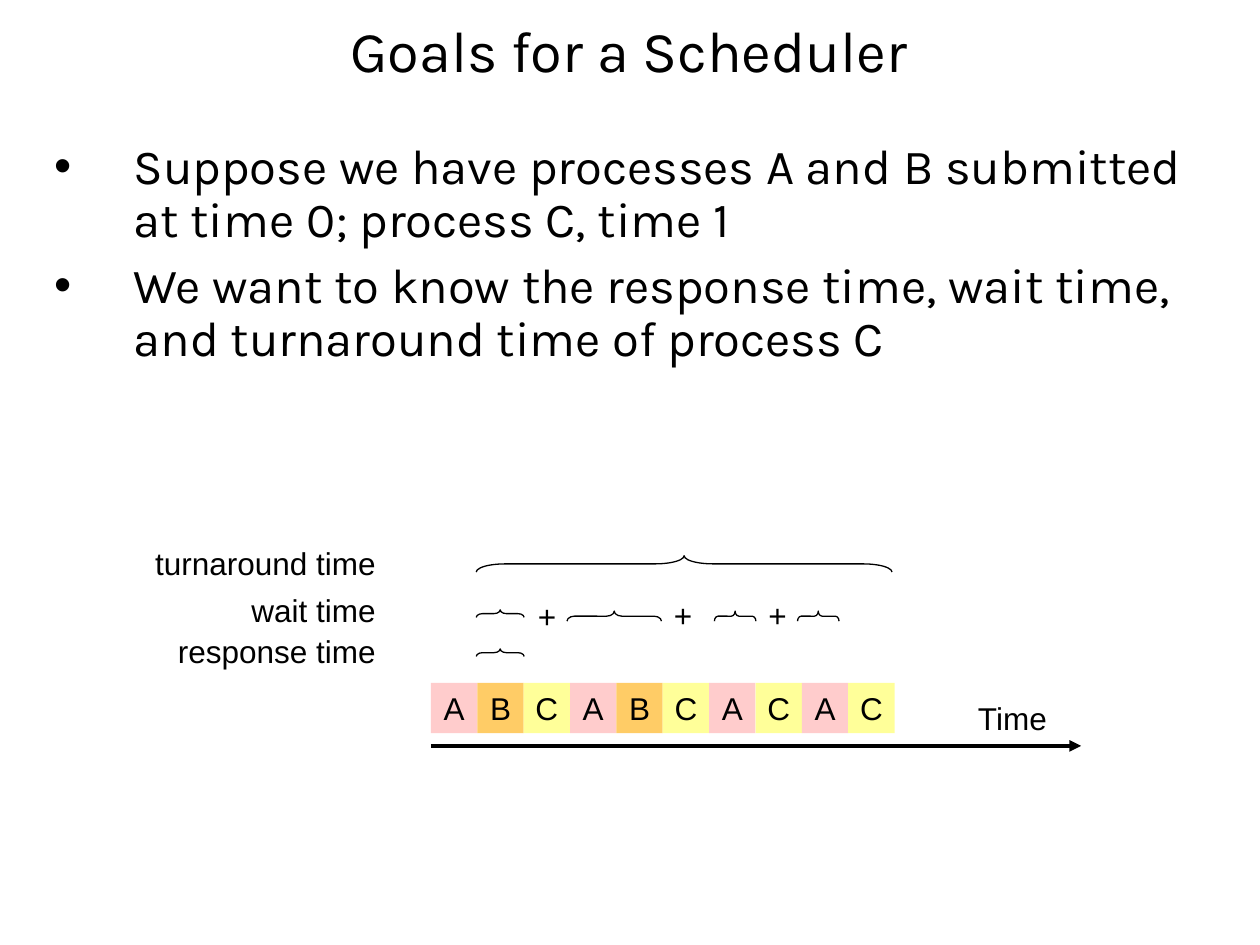
from lxml import etree
from pptx import Presentation
from pptx.dml.color import RGBColor
from pptx.enum import shapes as kinds, text as txt
from pptx.oxml.ns import qn
from pptx.util import Inches, Pt

COLORS = {"ink": "000000", "A": "FFCCCC", "B": "FFCC66", "C": "FFFF99"}
TITLE = "Goals for a Scheduler"
GOALS = [
    "Suppose we have processes A and B submitted at time 0; process C, time 1",
    "We want to know the response time, wait time, and turnaround time of process C",
]

SCHEDULE = "ABCABCACAC"
SCHEDULE_LEFT, SCHEDULE_TOP, SCHEDULE_WIDTH = 3.42, 5.42, 3.68
ROW_HEIGHT = 0.4

LABELS = [("turnaround time", 4.27), ("wait time", 4.64), ("response time", 4.97)]
LABEL_LEFT, LABEL_WIDTH = 1.13, 1.95

# left, top, length, height, corner length
BRACES = [
    (3.78, 4.41, 3.3, 0.13, 0.23),
    (3.78, 4.84, 0.38, 0.06, 0.05),
    (4.5, 4.85, 0.75, 0.08, 0.06),
    (5.67, 4.85, 0.33, 0.08, 0.03),
    (6.33, 4.85, 0.33, 0.08, 0.03),
    (3.78, 5.15, 0.38, 0.06, 0.05),
]
PLUSES = [(4.17, 4.69), (5.25, 4.68), (6, 4.68)]
PLUS_WIDTH = 0.34


def color(name):
    return RGBColor.from_string(COLORS[name])


def style(paragraph, size, font_name):
    for run in paragraph.runs:
        run.font.size = Pt(size)
        run.font.name = font_name
        run.font.color.rgb = color("ink")


def place(part, left, top, width, height):
    part.left, part.top = Inches(left), Inches(top)
    part.width, part.height = Inches(width), Inches(height)


def write(part, words, align):
    frame = part.text_frame
    frame.text = words
    frame.word_wrap = False
    frame.vertical_anchor = txt.MSO_ANCHOR.TOP
    frame.paragraphs[0].alignment = align
    style(frame.paragraphs[0], 18, "Arial")


def add_label(slide, words, left, top, width, align=txt.PP_ALIGN.CENTER):
    box = slide.shapes.add_textbox(
        Inches(left), Inches(top), Inches(width), Inches(ROW_HEIGHT))
    write(box, words, align)


def add_bullet(paragraph):
    props = paragraph._p.get_or_add_pPr()
    props.set("marL", str(Inches(0.63)))
    props.set("indent", str(-Inches(0.63)))
    etree.SubElement(props, qn("a:buChar")).set("char", "•")


def add_heading_and_goals(slide):
    title, body = slide.placeholders
    place(title, 0.33, 0, 9.33, 0.85)
    place(body, 0.33, 1.08, 9.33, 5.67)
    title.text_frame.text = TITLE
    title.text_frame.vertical_anchor = txt.MSO_ANCHOR.MIDDLE
    heading = title.text_frame.paragraphs[0]
    heading.alignment = txt.PP_ALIGN.CENTER
    heading.line_spacing = 0.9
    style(heading, 33, "Karla")

    body.text_frame.text = "\n".join(GOALS)
    for index, goal in enumerate(body.text_frame.paragraphs):
        add_bullet(goal)
        goal.line_spacing = 0.9
        goal.space_before = Pt(7.5 if index else 0)
        style(goal, 28, "Karla")
    for part in (title, body):
        part.text_frame.auto_size = txt.MSO_AUTO_SIZE.NONE


def add_schedule(slide):
    slot = SCHEDULE_WIDTH / len(SCHEDULE)
    for index, process in enumerate(SCHEDULE):
        cell = slide.shapes.add_shape(
            kinds.MSO_SHAPE.RECTANGLE, Inches(SCHEDULE_LEFT + index * slot),
            Inches(SCHEDULE_TOP), Inches(slot), Inches(ROW_HEIGHT))
        cell.shadow.inherit = False
        cell.fill.solid()
        cell.fill.fore_color.rgb = color(process)
        cell.line.fill.background()
        write(cell, process, txt.PP_ALIGN.CENTER)


def add_time_axis(slide):
    axis = slide.shapes.add_connector(
        kinds.MSO_CONNECTOR.STRAIGHT,
        Inches(SCHEDULE_LEFT), Inches(5.92), Inches(8.58), Inches(5.92))
    axis.line.color.rgb = color("ink")
    axis.line.width = Pt(2.25)
    etree.SubElement(axis.line._get_or_add_ln(), qn("a:tailEnd")).set("type", "triangle")
    etree.SubElement(axis._element.spPr, qn("a:effectLst"))
    add_label(slide, "Time", 7.66, 5.5, 0.75)


def add_brace(slide, left, top, length, height, corner):
    """Turn an upright brace so that it spans length and points up."""
    brace = slide.shapes.add_shape(
        kinds.MSO_SHAPE.RIGHT_BRACE,
        Inches(left + (length - height) / 2), Inches(top - (length - height) / 2),
        Inches(height), Inches(length))
    brace.rotation = 270
    brace.adjustments[0] = corner / height
    brace.shadow.inherit = False
    brace.fill.background()
    brace.line.color.rgb = color("ink")
    brace.line.width = Pt(0.75)


def main():
    deck = Presentation()
    deck.slide_width, deck.slide_height = Inches(10), Inches(7.5)
    slide = deck.slides.add_slide(deck.slide_layouts[1])
    add_heading_and_goals(slide)
    add_schedule(slide)
    add_time_axis(slide)
    for words, top in LABELS:
        add_label(slide, words, LABEL_LEFT, top, LABEL_WIDTH, txt.PP_ALIGN.RIGHT)
    for brace in BRACES:
        add_brace(slide, *brace)
    for left, top in PLUSES:
        add_label(slide, "+", left, top, PLUS_WIDTH)
    deck.save("out.pptx")


if __name__ == "__main__":
    main()
